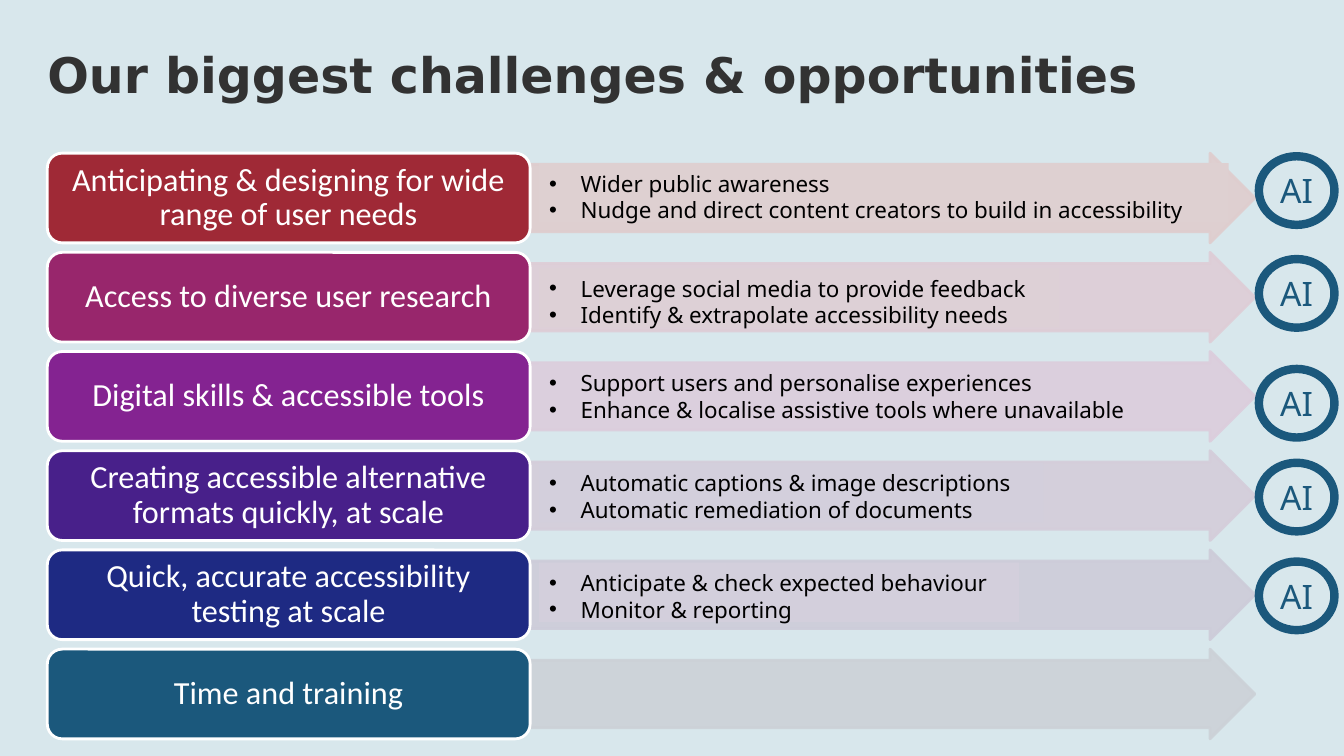
import dataclasses

import pptx
import pptx.dml.color
import pptx.enum.shapes
import pptx.enum.text
import pptx.oxml
import pptx.oxml.ns
import pptx.util

Pt = pptx.util.Pt
SHAPES = pptx.enum.shapes.MSO_SHAPE
ALIGN = pptx.enum.text.PP_ALIGN
ANCHOR = pptx.enum.text.MSO_ANCHOR


@dataclasses.dataclass(frozen=True)
class Theme:
    """Colours, fonts and type sizes of the deck."""
    background: str = "D8E7EC"
    heading: str = "323232"
    ink: str = "000000"
    white: str = "FFFFFF"
    ring: str = "1B587C"
    heading_font: str = "DejaVu Sans"
    label_font: str = "Calibri"
    note_font: str = "Noto Sans"
    heading_size: int = 35
    label_size: int = 23
    note_size: int = 16
    ring_size: int = 24


@dataclasses.dataclass(frozen=True)
class Box:
    """A rectangle in points."""
    left: float
    top: float
    width: float
    height: float

    def lengths(self):
        """Return the four sides as slide lengths."""
        return [Pt(side) for side in dataclasses.astuple(self)]


@dataclasses.dataclass(frozen=True)
class Note:
    """Bulleted answer to a challenge, with offsets from the top of its row."""
    lines: tuple
    fill: str
    width: float
    top: float
    ring_top: float


THEME = Theme()
LABEL_WIDTH = 344.9
ARROW_WIDTH = 517.7
ROW_HEIGHT = 64.1
ROW_PITCH = 70.85
NOTE_LEFT = 351.4
NOTE_HEIGHT = 42.5
RING_LEFT = 865.4

CHALLENGES = [
    ("Anticipating & designing for wide range of user needs", "9F2936", "DFCDCE",
     Note(("Wider public awareness",
           "Nudge and direct content creators to build in accessibility"),
          "DED0D1", 492.5, 7.2, 2.2)),
    ("Access to diverse user research", "98266C", "DECDD6",
     Note(("Leverage social media to provide feedback",
           "Identify & extrapolate accessibility needs"),
          "DDD0D6", 371.5, 11.2, 4.8)),
    ("Digital skills & accessible tools", "842391", "DCCDDC",
     Note(("Support users and personalise experiences",
           "Enhance & localise assistive tools where unavailable"),
          "DBCFDD", 443.5, 8.1, 12.4)),
    ("Creating accessible alternative formats quickly, at scale", "48208A", "D4CDDA",
     Note(("Automatic captions & image descriptions",
           "Automatic remediation of documents"),
          "D3CFDC", 360, 8.6, 8.6)),
    ("Quick, accurate accessibility testing at scale", "1E2A83", "CDCCD9",
     Note(("Anticipate & check expected behaviour", "Monitor & reporting"),
          "D3CFDC", 342.7, 9, 8.3)),
    ("Time and training", "1B587C", "CCD1D7", None),
]


def rgb(code):
    """Turn a hex code into a colour."""
    return pptx.dml.color.RGBColor.from_string(code)


def add_child(parent, tag, **attributes):
    """Append a drawing element with the given attributes."""
    child = parent.makeelement(pptx.oxml.ns.qn(tag), attributes)
    parent.append(child)
    return child


def write(shape, lines, font, size, colour, bold=False, align=ALIGN.LEFT,
          anchor=ANCHOR.TOP, insets=(7.2, 3.6, 7.2, 3.6), spacing=None, bullet=False):
    """Fill a shape with one formatted paragraph per line."""
    frame = shape.text_frame
    frame.word_wrap = True
    frame.vertical_anchor = anchor
    frame.margin_left, frame.margin_top, frame.margin_right, frame.margin_bottom = map(Pt, insets)
    for index, line in enumerate(lines):
        para = frame.add_paragraph() if index else frame.paragraphs[0]
        para.alignment = align
        para.line_spacing = spacing
        if bullet:
            settings = para._p.get_or_add_pPr()
            settings.set("marL", str(Pt(22.5)))
            settings.set("indent", str(-Pt(22.5)))
            add_child(settings, "a:buFont", typeface="Arial")
            add_child(settings, "a:buChar", char="•")
        span = para.add_run()
        span.text = line
        span.font.name = font
        span.font.size = Pt(size)
        span.font.bold = bold
        span.font.color.rgb = rgb(colour)


def add_shape(page, kind, box, fill=None, line=None, weight=2, opacity=100):
    """Add a flat preset shape."""
    shape = page.shapes.add_shape(kind, *box.lengths())
    shape.shadow.inherit = False
    if fill:
        shape.fill.solid()
        shape.fill.fore_color.rgb = rgb(fill)
    else:
        shape.fill.background()
    if line:
        shape.line.color.rgb = rgb(line)
        shape.line.width = Pt(weight)
    else:
        shape.line.fill.background()
    if opacity < 100:
        for colour in shape._element.spPr.iter(pptx.oxml.ns.qn("a:srgbClr")):
            add_child(colour, "a:alpha", val=str(opacity * 1000))
    return shape


def add_heading(page, box, text):
    """Place the slide heading."""
    heading = page.shapes.add_textbox(*box.lengths())
    write(heading, [text], THEME.heading_font, THEME.heading_size, THEME.heading,
          bold=True, anchor=ANCHOR.BOTTOM, insets=(0, 3.6, 7.2, 3.6))


def add_challenge(page, box, label, fill, tint):
    """Place a challenge label and the arrow leading from it."""
    arrow_box = Box(box.left + LABEL_WIDTH, box.top, ARROW_WIDTH, box.height)
    arrow = add_shape(page, SHAPES.RIGHT_ARROW, arrow_box, tint, tint, opacity=90)
    arrow.adjustments[0], arrow.adjustments[1] = 0.75, 0.5
    label_box = Box(box.left, box.top, LABEL_WIDTH, box.height)
    card = add_shape(page, SHAPES.ROUNDED_RECTANGLE, label_box, fill, THEME.white)
    write(card, [label], THEME.label_font, THEME.label_size, THEME.white,
          align=ALIGN.CENTER, anchor=ANCHOR.MIDDLE, spacing=0.9)


def add_opportunity(page, box, note):
    """Place the bulleted note and AI ring on a challenge row."""
    note_box = Box(box.left + NOTE_LEFT, box.top + note.top, note.width, NOTE_HEIGHT)
    panel = add_shape(page, SHAPES.RECTANGLE, note_box, note.fill)
    write(panel, note.lines, THEME.note_font, THEME.note_size, THEME.ink,
          insets=(7.2, 5, 7.2, 0), spacing=Pt(19), bullet=True)
    ring_box = Box(box.left + RING_LEFT, box.top + note.ring_top, 54, 49)
    ring = add_shape(page, SHAPES.OVAL, ring_box, line=THEME.ring, weight=6)
    write(ring, ["AI"], THEME.note_font, THEME.ring_size, THEME.ring,
          align=ALIGN.CENTER, anchor=ANCHOR.MIDDLE, insets=(2.9,) * 4)


def add_challenges_page(deck, box):
    """Build the slide of challenges and opportunities."""
    page = deck.slides.add_slide(deck.slide_layouts[6])
    page.background.fill.solid()
    page.background.fill.fore_color.rgb = rgb(THEME.background)
    add_heading(page, Box(box.left, box.top, 869, 51.1),
                "Our biggest challenges & opportunities")
    for index, (label, fill, tint, note) in enumerate(CHALLENGES):
        row = Box(box.left, box.top + 83.5 + index * ROW_PITCH,
                  LABEL_WIDTH + ARROW_WIDTH, ROW_HEIGHT)
        add_challenge(page, row, label, fill, tint)
        if note:
            add_opportunity(page, row, note)


deck = pptx.Presentation()
deck.slide_width, deck.slide_height = Pt(960), Pt(540)
add_challenges_page(deck, Box(33.8, 25.9, 919.4, 502))
deck.save("out.pptx")
